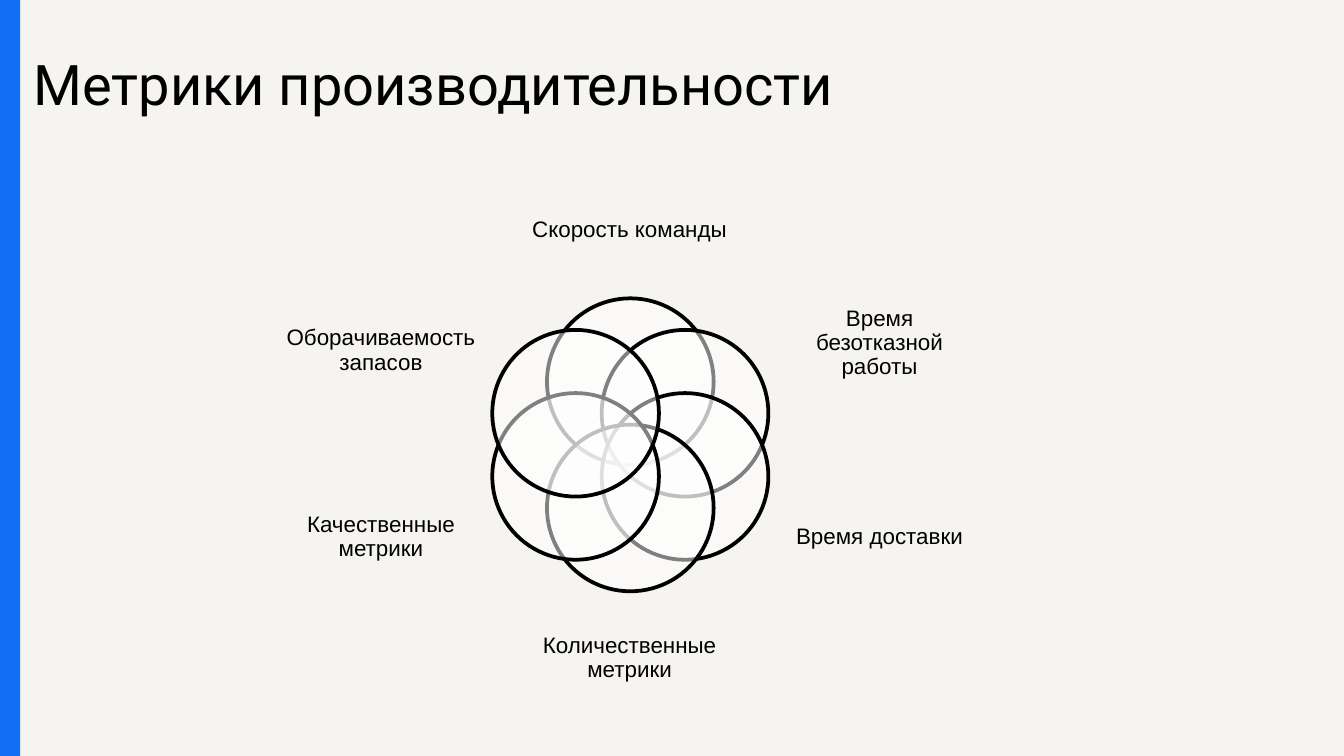
import math
from dataclasses import dataclass

import pptx
import pptx.dml.color
import pptx.enum.shapes
import pptx.enum.text
import pptx.oxml.ns
import pptx.util
from lxml import etree
from pptx.util import Inches

Align = pptx.enum.text.PP_ALIGN
Anchor = pptx.enum.text.MSO_ANCHOR
Preset = pptx.enum.shapes.MSO_SHAPE


@dataclass(frozen=True)
class Theme:
    background: str = "F5F4F0"
    accent: str = "136EF6"
    ink: str = "000000"
    petal: str = "FFFFFF"
    petal_opacity: int = 50
    outline: float = 2
    title_size: int = 30
    label_size: int = 12
    title_font: str = "Roboto"
    label_font: str = "Arial"


@dataclass(frozen=True)
class Metric:
    label: str
    left: float
    top: float
    width: float
    height: float


THEME = Theme()
SLIDE_WIDTH = 10
SLIDE_HEIGHT = SLIDE_WIDTH * 9 / 16
CENTER_X, CENTER_Y = 4.69, 3.31
ORBIT, DIAMETER = 0.47, 1.24

METRICS = [
    Metric("Скорость команды", 3.91, 1.29, 1.55, 0.85),
    Metric("Время безотказной работы", 5.81, 2.09, 1.47, 0.93),
    Metric("Время доставки", 5.81, 3.48, 1.47, 1.04),
    Metric("Количественные метрики", 3.91, 4.47, 1.55, 0.85),
    Metric("Качественные метрики", 2.1, 3.48, 1.47, 1.04),
    Metric("Оборачиваемость запасов", 2.1, 2.09, 1.47, 1.04),
]


def rgb(value: str) -> pptx.dml.color.RGBColor:
    return pptx.dml.color.RGBColor.from_string(value)


def write_text(frame, text: str, *, font: str, size: float, align=Align.LEFT,
               anchor=Anchor.TOP, inset: float = 0, spacing: float = 1.0) -> None:
    frame.word_wrap = True
    frame.auto_size = pptx.enum.text.MSO_AUTO_SIZE.NONE
    frame.vertical_anchor = anchor
    frame.margin_left = frame.margin_right = Inches(inset)
    frame.margin_top = frame.margin_bottom = Inches(inset)
    paragraph = frame.paragraphs[0]
    paragraph.alignment = align
    paragraph.line_spacing = spacing
    run = paragraph.add_run()
    run.text = text
    run.font.name = font
    run.font.size = pptx.util.Pt(size)
    run.font.color.rgb = rgb(THEME.ink)


def add_title(slide, text: str) -> None:
    title = slide.shapes.title
    title.left, title.top = Inches(0.15), Inches(0.27)
    title.width, title.height = Inches(6.95), Inches(1.02)
    write_text(title.text_frame, text, font=THEME.title_font,
               size=THEME.title_size, inset=0.1)


def add_side_bar(slide) -> None:
    bar = slide.shapes.add_shape(Preset.RECTANGLE, 0, 0, Inches(0.15), Inches(SLIDE_HEIGHT))
    bar.shadow.inherit = False
    bar.fill.solid()
    bar.fill.fore_color.rgb = rgb(THEME.accent)
    bar.line.fill.background()


def add_petal(slide, angle: float) -> None:
    left = CENTER_X + ORBIT * math.sin(angle) - DIAMETER / 2
    top = CENTER_Y - ORBIT * math.cos(angle) - DIAMETER / 2
    petal = slide.shapes.add_shape(Preset.OVAL, Inches(left), Inches(top),
                                   Inches(DIAMETER), Inches(DIAMETER))
    petal.shadow.inherit = False
    petal.fill.solid()
    petal.fill.fore_color.rgb = rgb(THEME.petal)
    qn = pptx.oxml.ns.qn
    color = petal.element.spPr.find(qn("a:solidFill")).find(qn("a:srgbClr"))
    etree.SubElement(color, qn("a:alpha"), val=str(THEME.petal_opacity * 1000))
    petal.line.color.rgb = rgb(THEME.ink)
    petal.line.width = pptx.util.Pt(THEME.outline)


def add_label(slide, metric: Metric) -> None:
    label = slide.shapes.add_textbox(Inches(metric.left), Inches(metric.top),
                                     Inches(metric.width), Inches(metric.height))
    write_text(label.text_frame, metric.label, font=THEME.label_font,
               size=THEME.label_size, align=Align.CENTER,
               anchor=Anchor.MIDDLE, spacing=0.9)


def main() -> None:
    deck = pptx.Presentation()
    deck.slide_width = Inches(SLIDE_WIDTH)
    deck.slide_height = Inches(SLIDE_HEIGHT)
    slide = deck.slides.add_slide(deck.slide_layouts.get_by_name("Title Only"))
    slide.background.fill.solid()
    slide.background.fill.fore_color.rgb = rgb(THEME.background)
    add_title(slide, "Метрики производительности")
    add_side_bar(slide)
    for position, metric in enumerate(METRICS):
        add_petal(slide, position * math.tau / len(METRICS))
        add_label(slide, metric)
    deck.save("out.pptx")


if __name__ == "__main__":
    main()
